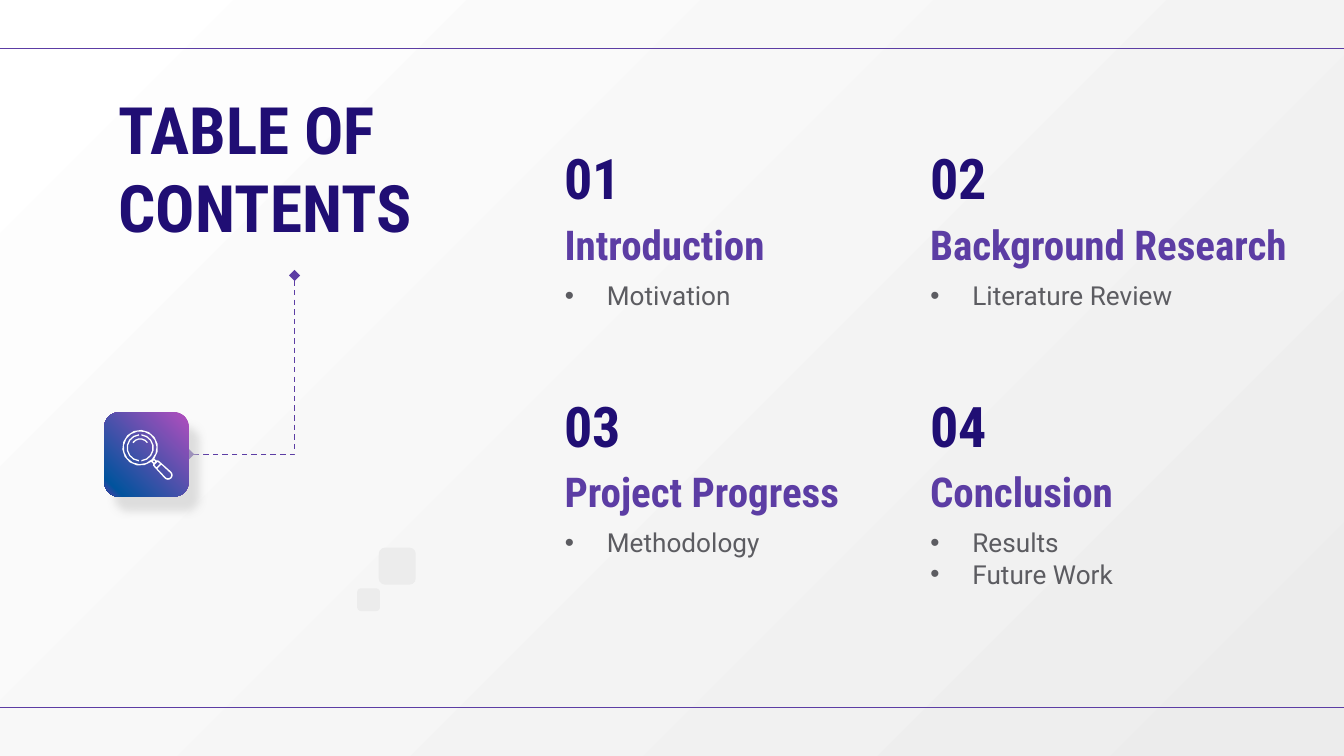
from copy import deepcopy
from math import cos, radians, sin

from lxml.etree import SubElement
from pptx import Presentation
from pptx.dml.color import RGBColor
from pptx.enum.dml import MSO_LINE
from pptx.enum.shapes import MSO_CONNECTOR, MSO_SHAPE
from pptx.enum.text import MSO_ANCHOR, MSO_AUTO_SIZE, PP_ALIGN
from pptx.oxml.ns import qn
from pptx.util import Pt

NAVY = RGBColor(0x20, 0x0E, 0x74)
PURPLE = RGBColor(0x5C, 0x3D, 0xA4)
GRAY = RGBColor(0x5C, 0x5C, 0x61)
PALE = RGBColor(0xEC, 0xEC, 0xEC)
SHADOW = RGBColor(0xCC, 0xCC, 0xCC)
WHITE = RGBColor(0xFF, 0xFF, 0xFF)
ORCHID = RGBColor(0xB2, 0x4E, 0xBE)
BLUE = RGBColor(0x01, 0x53, 0x9D)

HEADING_FONT = "Roboto Condensed"
BODY_FONT = "Roboto"
BULLET_FONT = "Arial"
WIDTH, HEIGHT = 720, 405
COLUMNS = (295.4, 491.2)
FIRST_ROW, ROW_PITCH = 71.3, 132.4
LENS_X, LENS_Y = 75.1, 239.9

SECTIONS = (
    ("Introduction", ["Motivation"]),
    ("Background Research", ["Literature Review"]),
    ("Project Progress", ["Methodology"]),
    ("Conclusion", ["Results", "Future Work"]),
)


def place(shape, left, top, width, height):
    shape.left, shape.top = Pt(left), Pt(top)
    shape.width, shape.height = Pt(width), Pt(height)


def add_bullet(paragraph, color):
    props = paragraph._p.get_or_add_pPr()
    props.set("marL", str(Pt(22.5)))
    props.set("indent", str(-Pt(22.5)))
    bullet_color = SubElement(props, qn("a:buClr"))
    SubElement(bullet_color, qn("a:srgbClr"), val=str(color))
    SubElement(props, qn("a:buFont"), typeface=BULLET_FONT)
    SubElement(props, qn("a:buChar"), char="•")


def write_text(shape, lines, *, size, color, font=HEADING_FONT, bold=True,
               anchor=MSO_ANCHOR.BOTTOM, bullets=False):
    frame = shape.text_frame
    frame.word_wrap = True
    frame.auto_size = MSO_AUTO_SIZE.NONE
    frame.vertical_anchor = anchor
    frame.margin_left = frame.margin_right = Pt(7.2)
    frame.margin_top = frame.margin_bottom = Pt(7.2)
    frame.text = "\n".join(lines)
    for paragraph in frame.paragraphs:
        paragraph.alignment = PP_ALIGN.LEFT
        paragraph.line_spacing = 1.0
        paragraph.space_before = paragraph.space_after = Pt(0)
        if bullets:
            add_bullet(paragraph, color)
        for run in paragraph.runs:
            run.font.name, run.font.size = font, Pt(size)
            run.font.bold, run.font.color.rgb = bold, color


def fill_gradient(fill, element, stops, angle):
    fill.gradient()
    fill.gradient_angle = angle
    stop_list = next(element.iter(qn("a:gsLst")))
    while len(stop_list) < len(stops):
        stop_list.append(deepcopy(stop_list[-1]))
    for stop, (position, color) in zip(fill.gradient_stops, stops):
        stop.position, stop.color.rgb = position, color


def add_tile(shapes, left, top, side):
    tile = shapes.add_shape(MSO_SHAPE.ROUNDED_RECTANGLE,
                            Pt(left), Pt(top), Pt(side), Pt(side))
    tile.shadow.inherit = False
    tile.line.fill.background()
    tile.fill.solid()
    tile.fill.fore_color.rgb = PALE
    return tile


def add_icon_tile(slide):
    tile = add_tile(slide.shapes, 56, 221, 45)
    fill_gradient(tile.fill, tile._element,
                  ((0, ORCHID), (0.89, BLUE), (1, PURPLE)), 225)
    effects = tile._element.spPr.find(qn("a:effectLst"))
    shadow = SubElement(effects, qn("a:outerShdw"), blurRad=str(Pt(4.5)),
                        dist=str(Pt(9.8)), dir=str(55 * 60000),
                        algn="bl", rotWithShape="0")
    tint = SubElement(shadow, qn("a:srgbClr"), val=str(SHADOW))
    SubElement(tint, qn("a:alpha"), val="60000")


def add_rule(slide, kind, start, end):
    rule = slide.shapes.add_connector(kind, *map(Pt, start + end))
    rule.line.color.rgb = PURPLE
    rule.line.width = Pt(0.75)
    SubElement(rule._element.spPr, qn("a:effectLst"))
    return rule


def add_title_link(slide):
    link = add_rule(slide, MSO_CONNECTOR.ELBOW, (81.5, 167.1), (177.3, 223.9))
    link.line.dash_style = MSO_LINE.DASH
    properties = link._element.spPr
    properties.find(qn("a:xfrm")).set("rot", str(90 * 60000))
    properties.find(qn("a:prstGeom")).set("prst", "bentConnector2")
    for end in ("a:headEnd", "a:tailEnd"):
        SubElement(properties.find(qn("a:ln")), qn(end), type="diamond")


def arc(radius, start, end, center=(0, 0)):
    steps = round(abs(end - start) / 24)
    angles = [radians(start + (end - start) * i / steps)
              for i in range(steps + 1)]
    return [(center[0] + radius * cos(a), center[1] + radius * sin(a))
            for a in angles]


def band(outer, inner, start, end):
    return arc(outer, start, end) + arc(inner, end, start)


def add_icon_part(shapes, *contours):
    turn = radians(44.5)
    outlines = [[(Pt(LENS_X + x * cos(turn) - y * sin(turn)),
                  Pt(LENS_Y + x * sin(turn) + y * cos(turn)))
                 for x, y in contour] for contour in contours]
    builder = shapes.build_freeform(*outlines[0][0], scale=1.0)
    builder.add_line_segments(outlines[0][1:], close=True)
    for outline in outlines[1:]:
        builder.move_to(*outline[0])
        builder.add_line_segments(outline[1:], close=True)
    part = builder.convert_to_shape()
    part.shadow.inherit = False
    part.fill.solid()
    part.fill.fore_color.rgb = WHITE
    part.line.fill.background()


def add_magnifier(slide):
    icon = slide.shapes.add_group_shape().shapes
    handle_end = (20.9, 0)
    silhouette = (arc(9.6, 7, 353) + [(11, -1.2), (11.6, -2)]
                  + arc(2.5, -90, 90, handle_end) + [(11.6, 2), (11, 1.2)])
    lens = arc(8.8, 0, 360)[:-1]
    neck = [(9.9, -0.5), (11, -0.5), (11, 0.5), (9.9, 0.5)]
    collar = [(11.9, -1.2), (13.6, -1.4), (13.6, 1.4), (11.9, 1.2)]
    grip = [(14.4, -1.5), *arc(1.7, -90, 90, handle_end), (14.4, 1.5)]
    add_icon_part(icon, silhouette, lens, neck, collar, grip)
    for outer, inner, start, end in ((5.1, 4.4, 171, 280),
                                     (7.3, 6.6, 231, 400),
                                     (7.3, 6.6, 51, 220)):
        add_icon_part(icon, band(outer, inner, start, end))


def add_section(slide, index, heading, topics, topic_list):
    left = COLUMNS[index % 2]
    top = FIRST_ROW + ROW_PITCH * (index // 2)
    for words, offset, width, height, size, color in (
            (f"{index + 1:02}", 0, 173, 49, 30, NAVY),
            (heading, 49, 208, 31, 22, PURPLE)):
        label = slide.shapes.add_textbox(Pt(left), Pt(top + offset),
                                         Pt(width), Pt(height))
        write_text(label, [words], size=size, color=color)
    place(topic_list, left, top + 71.3, 173, 46)
    write_text(topic_list, topics, size=14, color=GRAY, font=BODY_FONT,
               bold=False, anchor=MSO_ANCHOR.TOP, bullets=True)


def main():
    deck = Presentation()
    deck.slide_width, deck.slide_height = Pt(WIDTH), Pt(HEIGHT)
    slide = deck.slides.add_slide(deck.slide_layouts.get_by_name("Comparison"))
    fill_gradient(slide.background.fill, slide.element,
                  ((0, WHITE), (1, PALE)), 315)
    for y in (26, 379):
        add_rule(slide, MSO_CONNECTOR.STRAIGHT, (0, y), (WIDTH, y))

    title, *topic_lists = slide.placeholders
    place(title, 56.4, 40.5, 203, 107.5)
    write_text(title, ["TABLE OF CONTENTS"], size=35, color=NAVY,
               anchor=MSO_ANCHOR.TOP)
    for index, (section, topic_list) in enumerate(zip(SECTIONS, topic_lists)):
        add_section(slide, index, *section, topic_list)

    accents = slide.shapes.add_group_shape().shapes
    add_tile(accents, 202.9, 293.4, 19.8)
    add_tile(accents, 191.4, 315.2, 12.2)
    add_title_link(slide)
    add_icon_tile(slide)
    add_magnifier(slide)
    deck.save("out.pptx")


if __name__ == "__main__":
    main()
